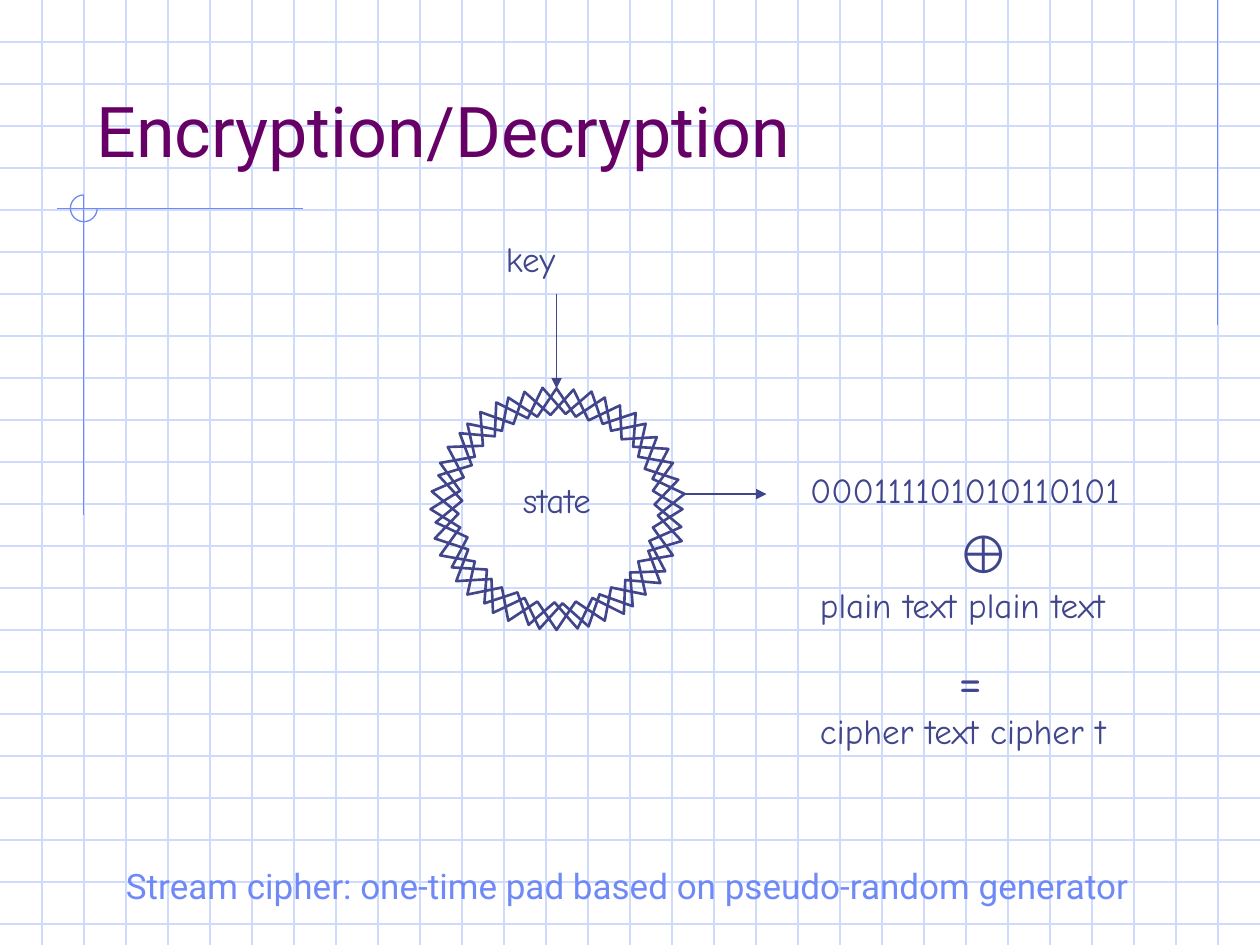
from lxml.etree import SubElement
from pptx import Presentation
from pptx.dml.color import RGBColor
from pptx.enum.shapes import MSO_CONNECTOR, MSO_SHAPE
from pptx.enum.text import MSO_ANCHOR, MSO_AUTO_SIZE, PP_ALIGN
from pptx.oxml.ns import qn
from pptx.util import Cm, Pt

# Content: lengths in cm
TITLE = "Encryption/Decryption"
TITLE_BOX = (1.69, 0.85, 21.59, 2.74)
LABELS = [  # text, style, (left, top, width, height), wrap
    ("000111101010110101", "label", (16.08, 9.31, 6.76, 1.12), False),
    ("key", "label", (9.95, 4.66, 2.67, 1.12), True),
    ("⊕", "symbol", (19.05, 10.37, 1.35, 1.52), False),
    ("plain text plain text", "label", (16.28, 11.64, 6.3, 1.12), False),
    ("=", "operator", (19.08, 12.91, 0.99, 1.52), False),
    ("cipher text cipher t", "label", (16.28, 14.18, 6.27, 1.12), False),
    ("state", "label", (10.29, 9.53, 1.93, 1.12), False),
]
CAPTION = "Stream cipher: one-time pad based on pseudo-random generator"
CAPTION_BOX = (1.02, 17.3, 23.52, 1.12)
CAPTION_INDENT = 1.52
ARROWS = [(11.22, 5.93, 11.22, 7.83), (13.76, 9.96, 15.45, 9.96)]
STARS = [(8.68, 7.83, 0), (8.75, 7.81, 15.1), (8.68, 7.83, 8.1)]  # left, top, turn
STAR_SIZE = (5.08, 4.87)
STAR_INNER = 0.39
RULES = [
    (24.55, 0, 24.55, 6.56),
    (6.1, 4.21, 1.14, 4.21),
    (1.69, 3.93, 1.69, 10.39),
]
ARC_BOX = (1.42, 3.93, 0.54, 0.54)

# Theme
THEME = {
    "ink": RGBColor.from_string("40458C"),
    "accent": RGBColor.from_string("6F89F7"),
    "grid": RGBColor.from_string("CFDBFD"),
    "thin": 0.75,
    "bold": 1.5,
    "title": {"name": "Roboto", "size": Pt(40), "color": "660066"},
    "label": {"name": "Comic Neue", "size": Pt(20), "color": "40458C"},
    "symbol": {"name": "Arial", "size": Pt(30), "color": "40458C"},
    "operator": {"name": "Comic Neue", "size": Pt(30), "color": "40458C"},
    "caption": {"name": "Roboto", "size": Pt(20), "color": "6F89F7"},
}
WIDTH, HEIGHT = 25.4, 19.05
COLUMNS = 30
CELL = WIDTH / COLUMNS


def cm(values):
    return [Cm(v) for v in values]


def write(tf, text, style):
    p = tf.paragraphs[0]
    p.alignment = PP_ALIGN.LEFT
    r = p.add_run()
    r.text = text
    for key, value in THEME[style].items():
        if key == "color":
            r.font.color.rgb = RGBColor.from_string(value)
        else:
            setattr(r.font, key, value)


def add_text(shapes, text, style, box, wrap):
    tf = shapes.add_textbox(*cm(box)).text_frame
    tf.word_wrap = wrap
    tf.auto_size = MSO_AUTO_SIZE.SHAPE_TO_FIT_TEXT
    write(tf, text, style)
    return tf


def add_line(shapes, ends, color, arrow=False):
    c = shapes.add_connector(MSO_CONNECTOR.STRAIGHT, *cm(ends))
    c.line.color.rgb = THEME[color]
    c.line.width = Pt(THEME["thin"])
    if arrow:
        SubElement(c.line._get_or_add_ln(), qn("a:tailEnd"), type="triangle")
    SubElement(c._element.spPr, qn("a:effectLst"))


def add_outline(shapes, kind, box, color, weight):
    sp = shapes.add_shape(kind, *cm(box))
    sp.shadow.inherit = False
    sp.fill.background()
    sp.line.color.rgb = THEME[color]
    sp.line.width = Pt(THEME[weight])
    return sp


prs = Presentation()
prs.slide_width, prs.slide_height = Cm(WIDTH), Cm(HEIGHT)
slide = prs.slides.add_slide(prs.slide_layouts[5])
shapes = slide.shapes

# Graph-paper grid
grid = shapes.add_group_shape().shapes
for i in range(1, int(HEIGHT / CELL) + 1):
    add_line(grid, (0, i * CELL, WIDTH, i * CELL), "grid")
for i in range(1, COLUMNS):
    add_line(grid, (i * CELL, 0, i * CELL, HEIGHT), "grid")

# Accent rules and three-quarter circle
decor = shapes.add_group_shape().shapes
for ends in RULES:
    add_line(decor, ends, "accent")
arc = add_outline(decor, MSO_SHAPE.ARC, ARC_BOX, "accent", "thin")
arc.adjustments[0] = 0
arc.adjustments[1] = 270 * 0.6  # degrees in the arc's own unit

# Title, raised above the grid
title = shapes.title
title.left, title.top, title.width, title.height = cm(TITLE_BOX)
title.text_frame.vertical_anchor = MSO_ANCHOR.BOTTOM
title.text_frame.auto_size = MSO_AUTO_SIZE.NONE
write(title.text_frame, TITLE, "title")
title.element.getparent().append(title.element)

# Key stream diagram
for ends in ARROWS:
    add_line(shapes, ends, "ink", arrow=True)
for label in LABELS:
    add_text(shapes, *label)
for left, top, turn in STARS:
    star = add_outline(shapes, MSO_SHAPE.STAR_16_POINT, (left, top, *STAR_SIZE), "ink", "bold")
    star.adjustments[0] = STAR_INNER
    star.rotation = turn

# Caption
tf = add_text(shapes, CAPTION, "caption", CAPTION_BOX, False)
tf.margin_left = Cm(CAPTION_INDENT)

prs.save("out.pptx")
